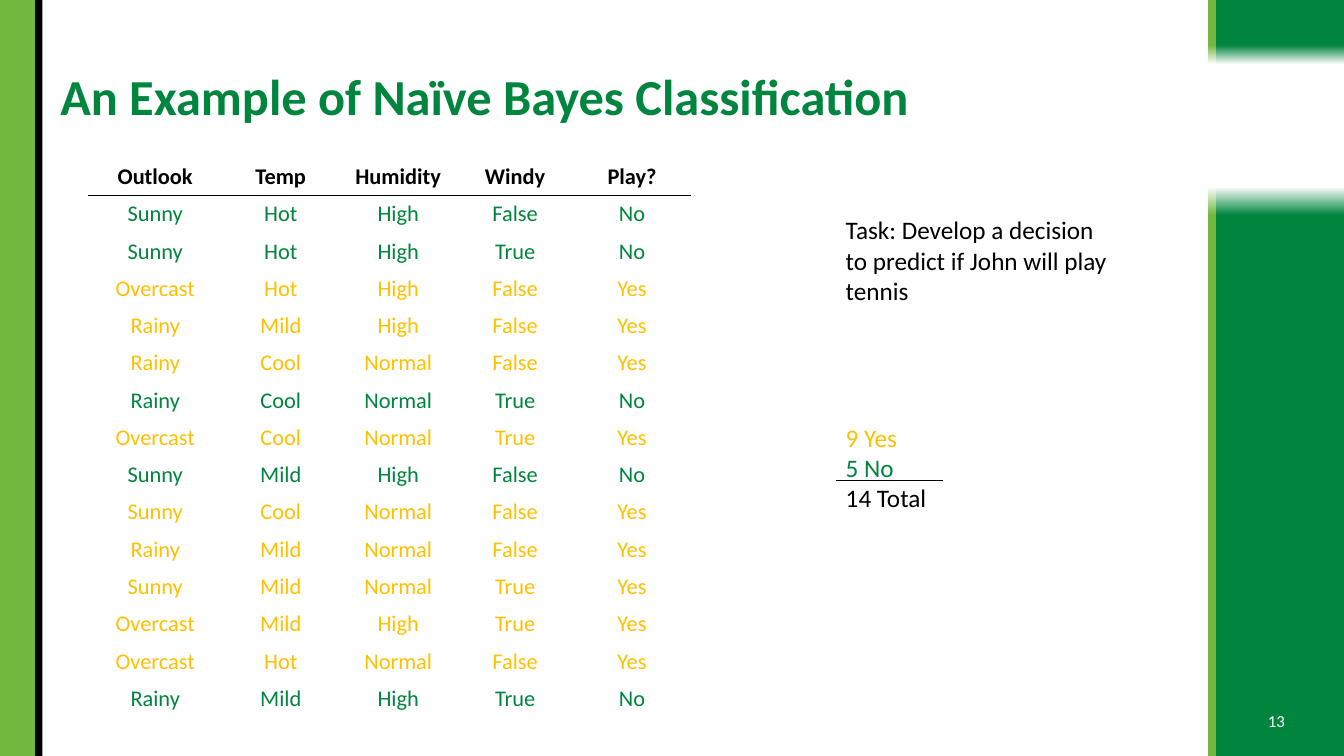
from lxml import etree
from pptx import Presentation
from pptx.dml.color import RGBColor
from pptx.enum.shapes import MSO_CONNECTOR, MSO_SHAPE
from pptx.enum.text import MSO_ANCHOR, PP_ALIGN
from pptx.oxml import parse_xml
from pptx.oxml.ns import qn
from pptx.util import Inches, Pt

RECT, LINE = MSO_SHAPE.RECTANGLE, MSO_CONNECTOR.STRAIGHT
TOP, MID, LOW = MSO_ANCHOR.TOP, MSO_ANCHOR.MIDDLE, MSO_ANCHOR.BOTTOM
LEFT, MIDDLE = PP_ALIGN.LEFT, PP_ALIGN.CENTER
COLORS = {"green": "00853E", "lime": "72B83E", "gold": "FFC000",
          "black": "000000", "white": "FFFFFF"}
FONT = "Calibri"

# Content
TITLE = "An Example of Naïve Bayes Classification"
HEAD = ("Outlook", "Temp", "Humidity", "Windy", "Play?")
DAYS = [
    ("Sunny", "Hot", "High", "False", "No"),
    ("Sunny", "Hot", "High", "True", "No"),
    ("Overcast", "Hot", "High", "False", "Yes"),
    ("Rainy", "Mild", "High", "False", "Yes"),
    ("Rainy", "Cool", "Normal", "False", "Yes"),
    ("Rainy", "Cool", "Normal", "True", "No"),
    ("Overcast", "Cool", "Normal", "True", "Yes"),
    ("Sunny", "Mild", "High", "False", "No"),
    ("Sunny", "Cool", "Normal", "False", "Yes"),
    ("Rainy", "Mild", "Normal", "False", "Yes"),
    ("Sunny", "Mild", "Normal", "True", "Yes"),
    ("Overcast", "Mild", "High", "True", "Yes"),
    ("Overcast", "Hot", "Normal", "False", "Yes"),
    ("Rainy", "Mild", "High", "True", "No"),
]
PLAY = {"Yes": "gold", "No": "green"}
COUNTS = [("9 Yes", "gold"), ("5 No", "green"), ("14 Total", "black")]
TASK = "Task: Develop a decision to predict if John will play tennis"
PAGE = "13"

# Layout
WIDE, HIGH = 13.33, 7.5
BANDS = [(12.06, 1.27, "green"), (11.98, 0.08, "lime")]   # left, width, colour
PARTS = [(0, 0.64, 0, 0.7), (1.85, 5.65, 180, 0.95)]      # top, height, turn, fade
EDGES = [(0, 0.35, "lime"), (0.35, 0.07, "black")]
COLS = (1.32, 1.17, 1.16, 1.16, 1.16)
HEAD_H, ROW_H = 0.38, 0.37
SIDE = 8.29

prs = Presentation()
prs.slide_width, prs.slide_height = Inches(WIDE), Inches(HIGH)
slide = prs.slides.add_slide(prs.slide_layouts[6])
shapes = slide.shapes


def rgb(name):
    return RGBColor.from_string(COLORS[name])


def style(para, size, color, bold=False, align=LEFT):
    para.alignment = align
    font = para.font
    font.name, font.size, font.bold = FONT, Pt(size), bold
    font.color.rgb = rgb(color)


def add_bar(*box):
    bar = shapes.add_shape(RECT, *map(Inches, box))
    bar.shadow.inherit = False
    bar.line.fill.background()
    return bar


def add_text(box, lines, size, anchor=TOP, **look):
    frame = shapes.add_textbox(*map(Inches, box)).text_frame
    frame.word_wrap = True
    frame.vertical_anchor = anchor
    frame.text = "\n".join(text for text, _ in lines)
    for para, (_, color) in zip(frame.paragraphs, lines):
        style(para, size, color, **look)
    return frame


# Fading bands on the right
for left, width, color in BANDS:
    for top, height, turn, fade in PARTS:
        bar = add_bar(left, top, width, height)
        bar.rotation = turn
        bar.fill.gradient()
        bar.fill.gradient_angle = 270
        ends = ((fade, color), (1, "white"))
        for stop, (place, tint) in zip(bar.fill.gradient_stops, ends):
            stop.position = place
            stop.color.rgb = rgb(tint)

# Solid edges on the left
for left, width, color in EDGES:
    bar = add_bar(left, 0, width, HIGH)
    bar.fill.solid()
    bar.fill.fore_color.rgb = rgb(color)

# Title and page number
title = add_text((0.5, 0.4, 11.4, 1.16), [(TITLE, "green")], 36, MID, bold=True)
title.paragraphs[0].line_spacing = 0.9
add_text((12.4, 6.95, 0.52, 0.4), [(PAGE, "white")], 12, MID, align=MIDDLE)

# Table of days, each row coloured by its outcome
rows = [HEAD] + DAYS
size = (sum(COLS), HEAD_H + ROW_H * len(DAYS))
table = shapes.add_table(len(rows), len(COLS), Inches(0.88), Inches(1.56),
                         *map(Inches, size)).table
table.first_row = table.horz_banding = False
for col, width in zip(table.columns, COLS):
    col.width = Inches(width)


def add_rule(cell, side):
    rule = parse_xml(
        f'<a:{side} xmlns:a="http://schemas.openxmlformats.org/drawingml/2006/main" '
        f'w="{Pt(1)}"><a:solidFill><a:srgbClr val="{COLORS["black"]}"/>'
        f'</a:solidFill></a:{side}>')
    cell._tc.get_or_add_tcPr().insert(0, rule)


for r, row in enumerate(rows):
    table.rows[r].height = Inches(ROW_H if r else HEAD_H)
    for c, text in enumerate(row):
        cell = table.cell(r, c)
        cell.text = text
        cell.vertical_anchor = LOW
        cell.fill.solid()
        cell.fill.fore_color.rgb = rgb("white")
        style(cell.text_frame.paragraphs[0], 16, PLAY.get(row[-1], "black"),
              bold=r == 0, align=MIDDLE)
        if r < 2:
            add_rule(cell, "lnT" if r else "lnB")

# Task and counts
add_text((SIDE, 4.14, 2.33, 1.01), COUNTS, 18)
rule = shapes.add_connector(LINE, *map(Inches, (SIDE, 4.77, SIDE + 1.06, 4.77)))
rule.line.color.rgb = rgb("black")
rule.line.width = Pt(0.5)
etree.SubElement(rule._element.spPr, qn("a:effectLst"))
add_text((SIDE, 2.08, 2.83, 1.01), [(TASK, "black")], 18)

prs.save("out.pptx")
